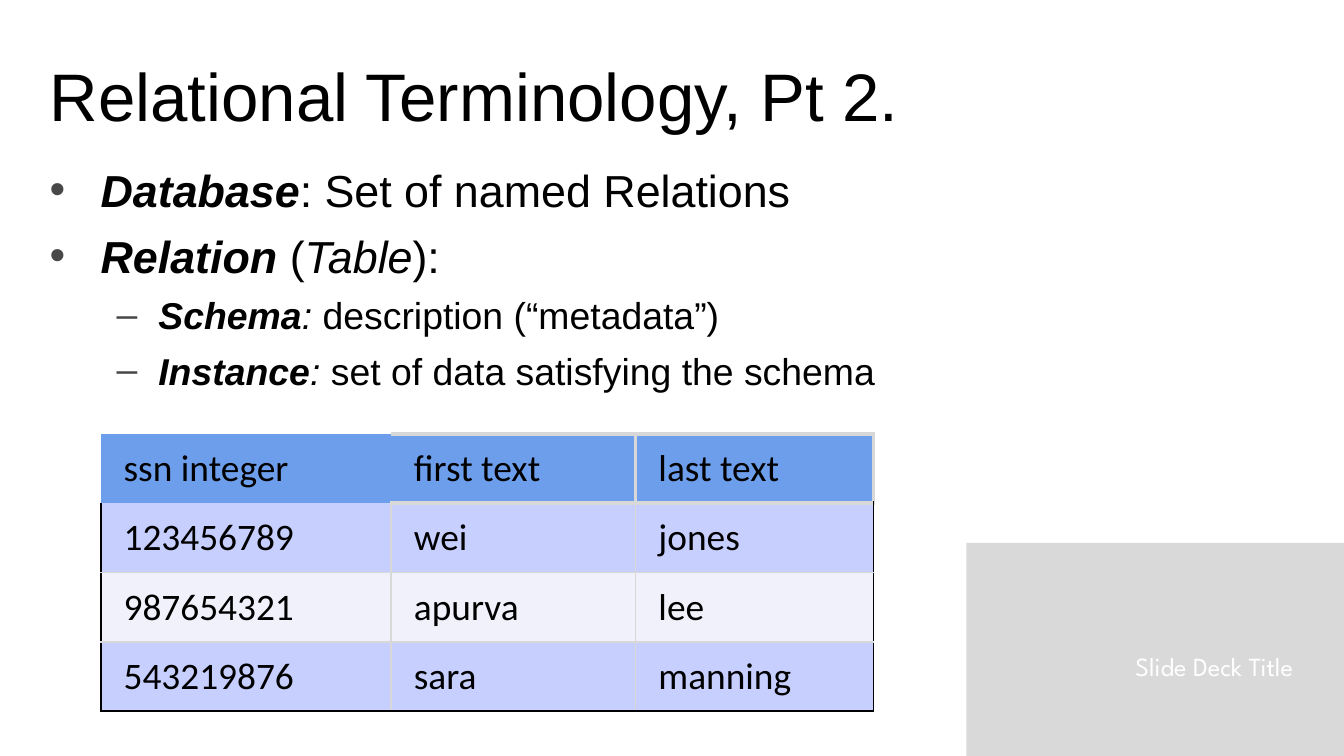
from lxml import etree
from pptx import Presentation
from pptx.dml.color import RGBColor
from pptx.enum.shapes import MSO_SHAPE as Shape
from pptx.enum.text import MSO_ANCHOR as Anchor, PP_ALIGN as Align
from pptx.oxml.ns import qn
from pptx.util import Inches, Pt

BLACK = RGBColor(0x00, 0x00, 0x00)
WHITE = RGBColor(0xFF, 0xFF, 0xFF)
GRAY = RGBColor(0xD9, 0xD9, 0xD9)
RULE = RGBColor(0xD8, 0xD8, 0xD8)
BULLET = RGBColor(0x48, 0x48, 0x48)
HEADER = RGBColor(0x6D, 0x9E, 0xEB)
BAND_DARK = RGBColor(0xC7, 0xCF, 0xFF)
BAND_LIGHT = RGBColor(0xF1, 0xF1, 0xFC)


def style_font(font, name, size, color):
    font.name = name
    font.size = Pt(size)
    font.color.rgb = color


def add_border(cell, side, color, width):
    line = etree.SubElement(cell._tc.get_or_add_tcPr(), qn(f"a:ln{side}"))
    if color is None:
        line.set("w", "0")
        etree.SubElement(line, qn("a:noFill"))
    else:
        line.set("w", str(Pt(width)))
        fill = etree.SubElement(line, qn("a:solidFill"))
        etree.SubElement(fill, qn("a:srgbClr"), val=str(color))


deck = Presentation()
deck.slide_width = Inches(10)
deck.slide_height = Inches(10) * 9 // 16
slide = deck.slides.add_slide(deck.slide_layouts[5])

panel = slide.shapes.add_shape(
    Shape.RECTANGLE, Inches(7.19), Inches(4.04), Inches(2.81), Inches(1.59))
panel.shadow.inherit = False
panel.fill.solid()
panel.fill.fore_color.rgb = GRAY
panel.line.fill.background()

footer = slide.shapes.add_textbox(Inches(5.1), Inches(4.79), Inches(4.62), Inches(0.34))
footer.text_frame.word_wrap = True
footer.text_frame.text = "Slide Deck Title"
para = footer.text_frame.paragraphs[0]
para.alignment = Align.RIGHT
style_font(para.runs[0].font, "League Spartan", 14, WHITE)

title = slide.shapes.title
title.left, title.top = Inches(0.27), Inches(0.34)
title.width, title.height = Inches(7.73), Inches(0.73)
title.text_frame.text = "Relational Terminology, Pt 2."
title.text_frame.vertical_anchor = Anchor.MIDDLE
para = title.text_frame.paragraphs[0]
para.alignment = Align.LEFT
style_font(para.runs[0].font, "Arial", 36, BLACK)

TERMS = [
    (0, [("Database", "bi"), (": Set of named Relations", "")]),
    (0, [("Relation ", "bi"), ("(", ""), ("Table", "i"), ("):", "")]),
    (1, [("Schema", "bi"), (":", "i"), (" description (“metadata”)", "")]),
    (1, [("Instance", "bi"), (": ", "i"), ("set of data satisfying the schema", "")]),
]
LEVELS = [("•", 24, 0.38, 0.38, 6.4), ("–", 20, 0.81, 0.31, 5.6)]

body = slide.shapes.add_textbox(Inches(0.27), Inches(1.16), Inches(9.48), Inches(3.38))
body.text_frame.word_wrap = True
for index, (level, pieces) in enumerate(TERMS):
    mark, size, margin, hanging, space = LEVELS[level]
    para = body.text_frame.add_paragraph() if index else body.text_frame.paragraphs[0]
    para.level = level
    if index:
        para.space_before = Pt(space)
    props = para._p.get_or_add_pPr()
    props.set("marL", str(Inches(margin)))
    props.set("indent", str(-Inches(hanging)))
    bullet_color = etree.SubElement(props, qn("a:buClr"))
    etree.SubElement(bullet_color, qn("a:srgbClr"), val=str(BULLET))
    etree.SubElement(props, qn("a:buFont"), typeface="Arial")
    etree.SubElement(props, qn("a:buChar"), char=mark)
    for text, emphasis in pieces:
        span = para.add_run()
        span.text = text
        style_font(span.font, "Arial", size, BLACK)
        span.font.bold = "b" in emphasis
        span.font.italic = "i" in emphasis

ROWS = [
    ("ssn integer", "first text", "last text"),
    ("123456789", "wei", "jones"),
    ("987654321", "apurva", "lee"),
    ("543219876", "sara", "manning"),
]
WIDTHS = [2.16, 1.82, 1.77]
last_row, last_col = len(ROWS) - 1, len(WIDTHS) - 1

table = slide.shapes.add_table(
    len(ROWS), len(WIDTHS), Inches(0.75), Inches(3.23), Inches(5.75), Inches(2.06)).table
table.horz_banding = False
for column, width in zip(table.columns, WIDTHS):
    column.width = Inches(width)

for r, values in enumerate(ROWS):
    table.rows[r].height = Inches(2.06 / len(ROWS))
    for c, value in enumerate(values):
        cell = table.cell(r, c)
        cell.margin_left = cell.margin_right = Inches(0.17)
        cell.margin_top = cell.margin_bottom = Inches(0.09)
        cell.text_frame.text = value
        font = cell.text_frame.paragraphs[0].runs[0].font
        style_font(font, "Calibri", 20, BLACK)
        font.bold = False

        thick, thin, outer, none = (RULE, 2.25), (RULE, 1), (BLACK, 1), (None, 0)
        if r == 0:
            edge = thick if c else none
            borders = {"L": thick if c > 1 else none, "R": edge, "T": edge, "B": edge}
        else:
            below_header = thick if c else none
            borders = {
                "L": thin if c else outer,
                "R": thin if c < last_col else outer,
                "T": thin if r > 1 else below_header,
                "B": thin if r < last_row else outer,
            }
        for side, (color, width) in borders.items():
            add_border(cell, side, color, width)
        cell.fill.solid()
        cell.fill.fore_color.rgb = HEADER if r == 0 else BAND_DARK if r % 2 else BAND_LIGHT

deck.save("out.pptx")
